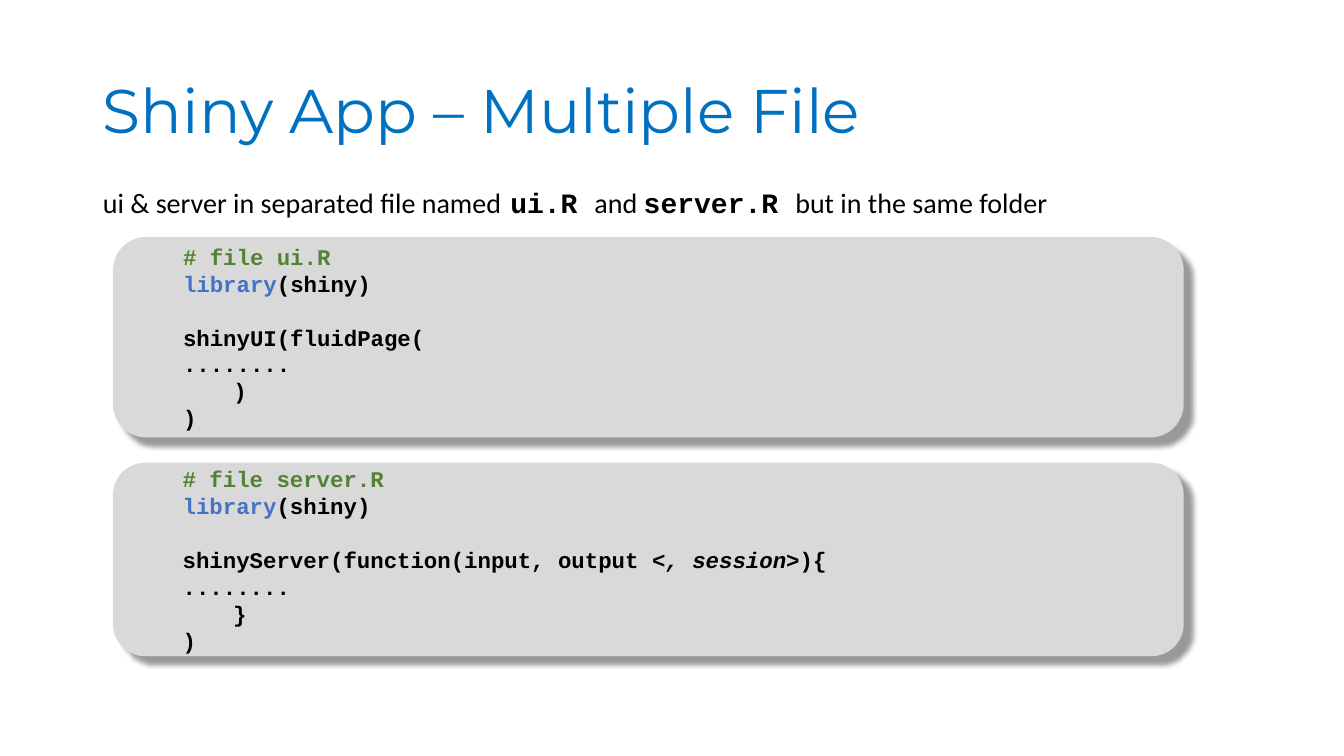
"""Build a slide on splitting a Shiny app into two files."""
from lxml import etree
from pptx import Presentation
from pptx.dml.color import RGBColor
from pptx.enum import shapes, text
from pptx.oxml import ns
from pptx.util import Inches, Pt

SANS, MONO = "Calibri", "Courier New"
CODE = dict(size=16, name=MONO, bold=True, color="000000")
NOTE = CODE | dict(color="548235")
WORD = CODE | dict(color="4472C4")
ITAL = CODE | dict(italic=True)
BODY = dict(size=20, name=SANS, bold=False, color="000000")
FILE = BODY | dict(name=MONO, bold=True)
HEAD = dict(size=44, name="Montserrat", color="0070C0")

TITLE = [("Shiny App – Multiple File", HEAD)]
INTRO = [
    ("ui & server in separated file named", BODY),
    (" ", BODY | dict(size=28)),
    ("ui.R ", FILE),
    ("and ", BODY),
    ("server.R ", FILE),
    ("but in the same folder", BODY),
]
PANELS = [
    (2.35, 1.99, "# file ui.R", [("shinyUI(fluidPage(", CODE)], ")"),
    (4.59, 1.92, "# file server.R",
     [("shinyServer(function(input, output ", CODE),
      ("<, session>", ITAL), ("){", CODE)], "}"),
]


def paint(hue):
    return RGBColor.from_string(hue)


def write(par, runs, **form):
    for key, val in form.items():
        setattr(par, key, val)
    for words, style in runs:
        run = par.add_run()
        run.text = words
        for key, val in style.items():
            if key == "color":
                run.font.color.rgb = paint(val)
            else:
                setattr(run.font, key, Pt(val) if key == "size" else val)


def place(shape, *box):
    for key, val in zip(("left", "top", "width", "height"), box):
        setattr(shape, key, Inches(val))


def shade(shape):
    shape.shadow.inherit = False
    glow = shape._element.spPr.find(ns.qn("a:effectLst"))
    drop = etree.SubElement(glow, ns.qn("a:outerShdw"), blurRad=str(Pt(4)),
                            dist=str(Pt(8)), dir="2700000", algn="tl",
                            rotWithShape="0")
    hue = etree.SubElement(drop, ns.qn("a:srgbClr"), val="000000")
    etree.SubElement(hue, ns.qn("a:alpha"), val="40000")


def panel(slide, top, high, note, call, close):
    card = slide.shapes.add_shape(
        shapes.MSO_SHAPE.ROUNDED_RECTANGLE,
        Inches(1.12), Inches(top), Inches(10.62), Inches(high))
    card.fill.solid()
    card.fill.fore_color.rgb = paint("D9D9D9")
    card.line.fill.background()
    shade(card)
    frame = card.text_frame
    frame.vertical_anchor = text.MSO_ANCHOR.MIDDLE
    lines = [[(note, NOTE)], [("library", WORD), ("(shiny)", CODE)], [],
             call, [("........", CODE)], [("\t" + close, CODE)], [(")", CODE)]]
    for num, runs in enumerate(lines):
        par = frame.add_paragraph() if num else frame.paragraphs[0]
        write(par, runs, level=1, alignment=text.PP_ALIGN.LEFT)
        props = par._p.get_or_add_pPr()
        props.set("marL", str(Inches(0.5)))
        props.set("indent", "0")
        if not runs:
            par.font.size = Pt(16)
            par.font.name = MONO
            end = etree.SubElement(par._p, ns.qn("a:endParaRPr"), sz="1600", b="1")
            etree.SubElement(end, ns.qn("a:latin"), typeface=MONO)


def main():
    deck = Presentation()
    deck.slide_width, deck.slide_height = Inches(13.33), Inches(7.5)
    slide = deck.slides.add_slide(deck.slide_layouts[1])
    title, body = slide.placeholders
    place(title, 0.92, 0.4, 11.5, 1.45)
    place(body, 0.92, 1.73, 11.5, 0.56)
    for shape in (title, body):
        shape.text_frame.auto_size = text.MSO_AUTO_SIZE.NONE
    title.text_frame.vertical_anchor = text.MSO_ANCHOR.MIDDLE
    form = dict(alignment=text.PP_ALIGN.LEFT, line_spacing=0.9)
    write(title.text_frame.paragraphs[0], TITLE, **form)
    par = body.text_frame.paragraphs[0]
    write(par, INTRO, space_before=Pt(10), **form)
    props = par._p.get_or_add_pPr()
    props.set("marL", "0")
    props.set("indent", "0")
    etree.SubElement(props, ns.qn("a:buNone"))
    for spec in PANELS:
        panel(slide, *spec)
    deck.save("out.pptx")


if __name__ == "__main__":
    main()
